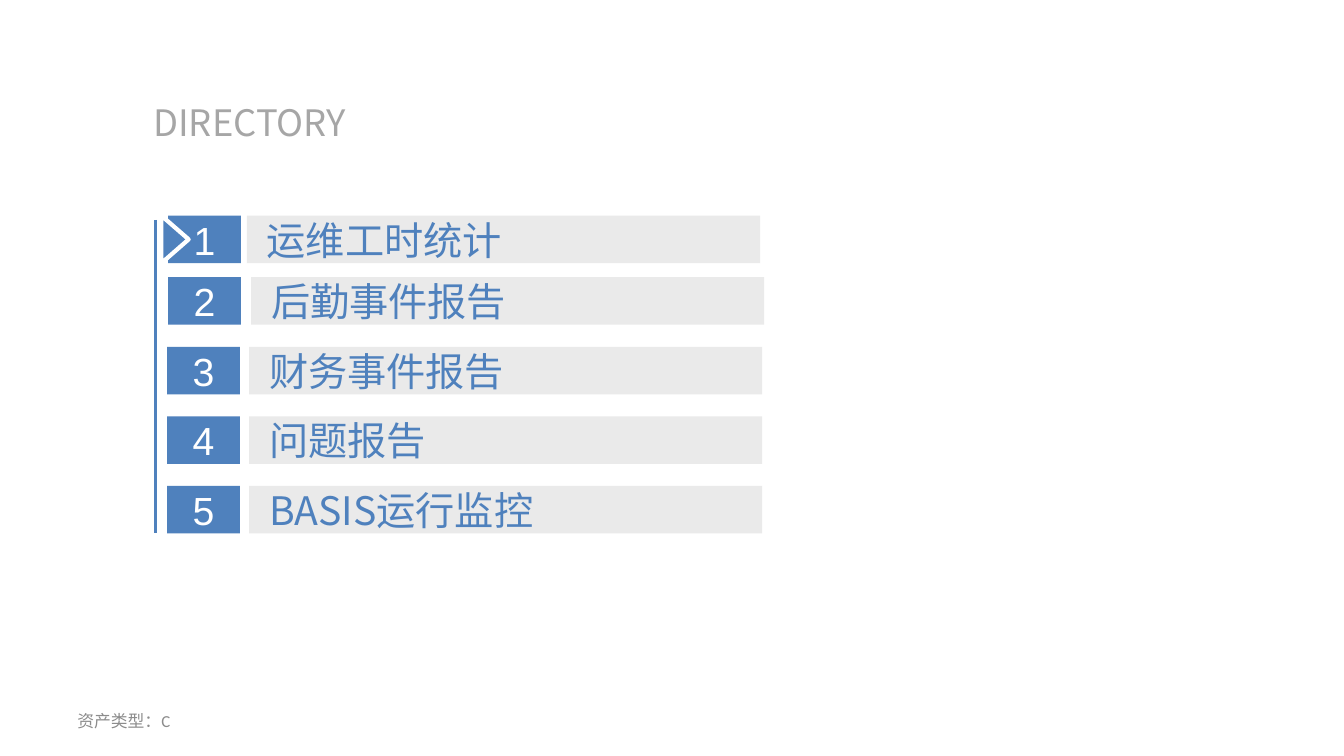
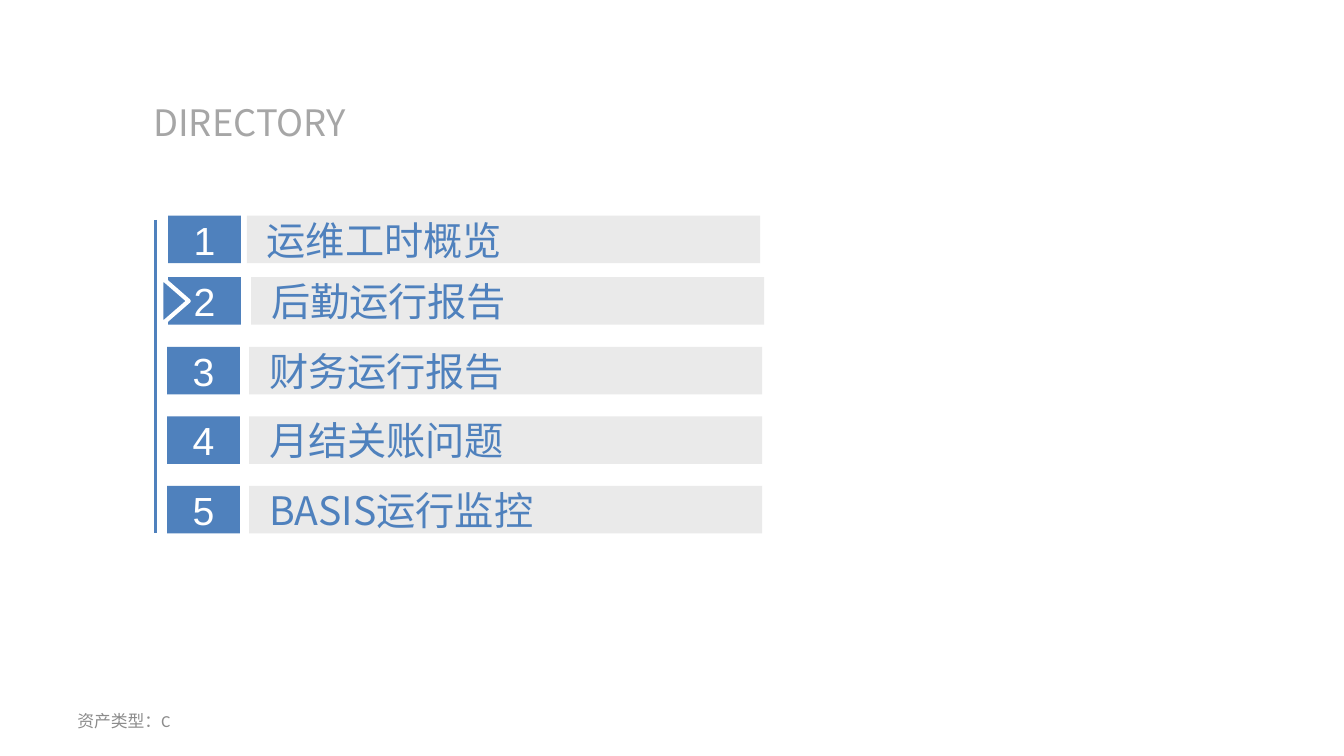
from dataclasses import dataclass
from lxml.etree import SubElement
from pptx import Presentation
from pptx.dml.color import RGBColor
from pptx.enum.shapes import MSO_CONNECTOR as Link, MSO_SHAPE as Form
from pptx.enum.text import MSO_ANCHOR as Anchor, MSO_AUTO_SIZE as Fit, PP_ALIGN as Align
from pptx.oxml.ns import qn
from pptx.shapes.autoshape import Shape
from pptx.slide import Slide
from pptx.text.text import TextFrame
from pptx.util import Pt


@dataclass(frozen=True)
class Theme:
    blue: str = "4F81BD"
    band: str = "EAEAEA"
    white: str = "FFFFFF"
    title: str = "A6A6A6"
    foot: str = "8C8C8C"
    han: str = "Noto Sans CJK SC"
    digit: str = "Arial"
    small: str = "Calibri"
    title_size: float = 26
    item_size: float = 28
    foot_size: float = 12


@dataclass(frozen=True)
class Row:
    top: float
    num_x: float
    bar_x: float


@dataclass(frozen=True)
class Page:
    items: tuple[str, ...]
    active: int


THEME = Theme()
NUM_W, BAR_W, ROW_H = 52, 366.5, 34
ROW_2, STEP = 198, 49.7
ARROW_W, ARROW_H, ARROW_MID = 34, 19.5, 125
RULE_X, RULE_TOP, RULE_END = 111, 157, 381

ROWS = (
    Row(154, 120.2, 176.4),
    Row(ROW_2, 120.2, 179.4),
    *(Row(ROW_2 + STEP * n, 119.4, 178) for n in (1, 2, 3)),
)

PAGES = (
    Page(("运维工时统计", "后勤事件报告", "财务事件报告", "问题报告", "BASIS运行监控"), 0),
    Page(("运维工时概览", "后勤运行报告", "财务运行报告", "月结关账问题", "BASIS运行监控"), 1),
)


def write(frame: TextFrame, text: str, font: str, size: float, color: str) -> None:
    run = frame.paragraphs[0].add_run()
    run.text = text
    run.font.size = Pt(size)
    run.font.color.rgb = RGBColor.from_string(color)
    run.font.name = font
    east = SubElement(run.font._element, qn("a:ea"))
    east.set("typeface", THEME.han)


def add_form(slide: Slide, form: Form, x: float, y: float,
             w: float, h: float, fill: str) -> Shape:
    shape = slide.shapes.add_shape(form, Pt(x), Pt(y), Pt(w), Pt(h))
    shape.shadow.inherit = False
    shape.fill.solid()
    shape.fill.fore_color.rgb = RGBColor.from_string(fill)
    shape.line.fill.background()
    return shape


def add_text(slide: Slide, x: float, y: float, w: float, h: float) -> TextFrame:
    return slide.shapes.add_textbox(Pt(x), Pt(y), Pt(w), Pt(h)).text_frame


def add_frame(slide: Slide) -> None:
    """Draw what every page shares: title, footer and upright rule."""
    title = add_text(slide, 102.4, 67.7, 183.6, 39)
    title.word_wrap = False
    title.auto_size = Fit.SHAPE_TO_FIT_TEXT
    write(title, "DIRECTORY", THEME.han, THEME.title_size, THEME.title)

    foot = add_text(slide, 48.2, 500.4, 224, 28.8)
    foot.word_wrap = True
    foot.vertical_anchor = Anchor.MIDDLE
    write(foot, "资产类型：C", THEME.small, THEME.foot_size, THEME.foot)

    rule = slide.shapes.add_connector(
        Link.STRAIGHT, Pt(RULE_X), Pt(RULE_TOP), Pt(RULE_X), Pt(RULE_END))
    rule.line.color.rgb = RGBColor.from_string(THEME.blue)
    rule.line.width = Pt(2.25)
    SubElement(rule._element.spPr, qn("a:effectLst"))


def add_row(slide: Slide, row: Row, num: int, item: str) -> None:
    bar = add_form(slide, Form.RECTANGLE, row.bar_x, row.top, BAR_W, ROW_H, THEME.band)
    label = bar.text_frame
    label.word_wrap = True
    label.vertical_anchor = Anchor.MIDDLE
    label.margin_left, label.margin_right = Pt(14.2), Pt(5.7)
    label.paragraphs[0].alignment = Align.LEFT
    write(label, item, THEME.han, THEME.item_size, THEME.blue)

    box = add_form(slide, Form.RECTANGLE, row.num_x, row.top, NUM_W, ROW_H, THEME.blue)
    digit = box.text_frame
    digit.word_wrap = False
    digit.vertical_anchor = Anchor.MIDDLE
    digit.margin_left = digit.margin_right = digit.margin_top = digit.margin_bottom = 0
    digit.paragraphs[0].alignment = Align.CENTER
    write(digit, str(num), THEME.digit, THEME.item_size, THEME.white)


def add_arrow(slide: Slide, row: Row) -> None:
    """Mark the active row."""
    arrow = add_form(slide, Form.ISOSCELES_TRIANGLE, ARROW_MID - ARROW_W / 2,
                     row.top + (ROW_H - ARROW_H) / 2, ARROW_W, ARROW_H, THEME.blue)
    arrow.rotation = 90
    arrow.line.color.rgb = RGBColor.from_string(THEME.white)
    arrow.line.width = Pt(3)


def main() -> None:
    deck = Presentation()
    deck.slide_width, deck.slide_height = Pt(960), Pt(540)
    for page in PAGES:
        slide = deck.slides.add_slide(deck.slide_layouts[6])
        add_frame(slide)
        for num, (row, item) in enumerate(zip(ROWS, page.items), 1):
            add_row(slide, row, num, item)
        add_arrow(slide, ROWS[page.active])
    deck.save("out.pptx")


if __name__ == "__main__":
    main()
